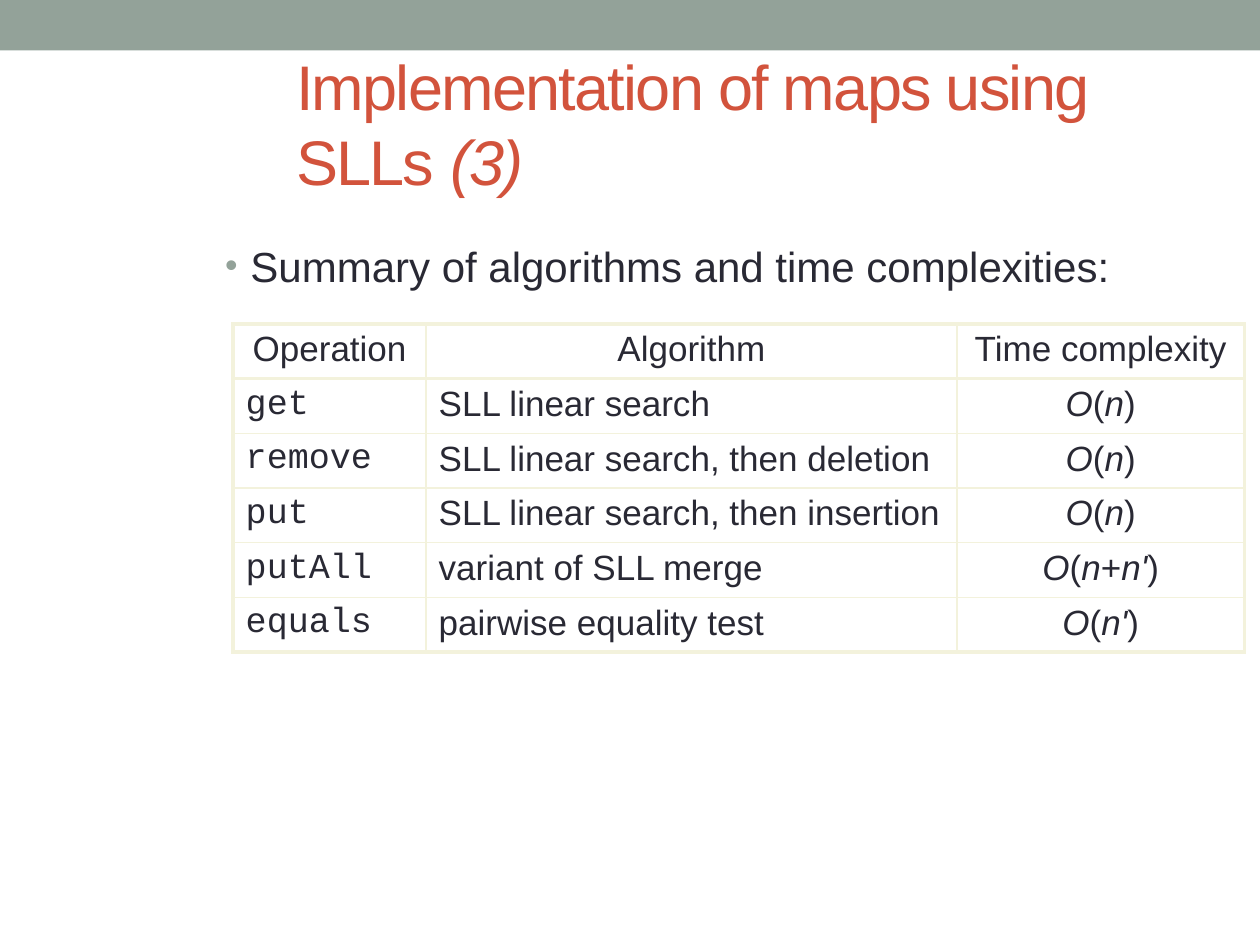
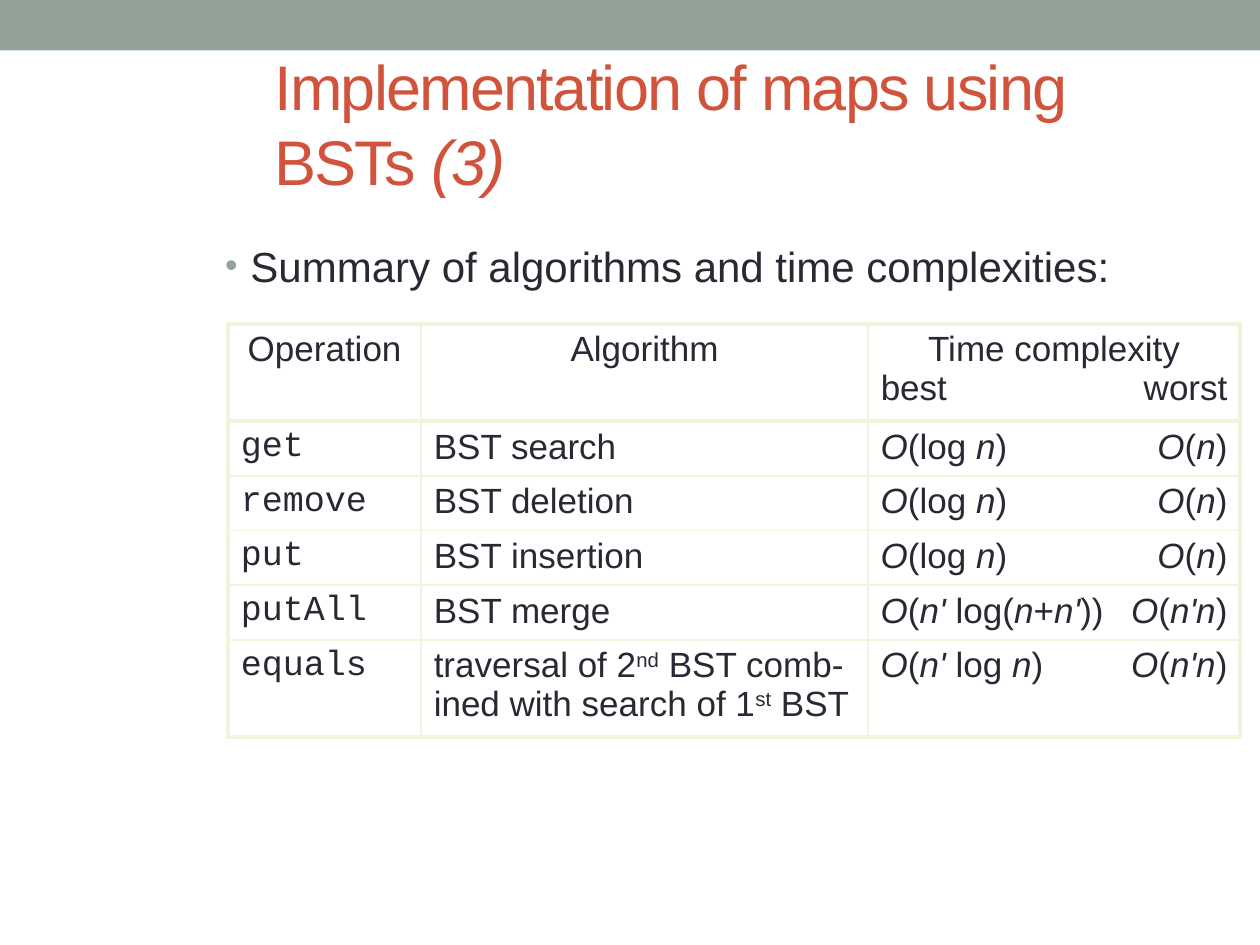
from lxml import etree
from pptx import Presentation
from pptx.dml.color import RGBColor
from pptx.enum.shapes import MSO_SHAPE
from pptx.enum.text import MSO_ANCHOR, PP_ALIGN
from pptx.oxml.ns import qn
from pptx.util import Cm, Pt

SAGE = RGBColor(0x93, 0xA2, 0x99)
RUST = RGBColor(0xD2, 0x53, 0x3C)
INK = RGBColor(0x29, 0x29, 0x34)
CREAM = RGBColor(0xF3, 0xF2, 0xDC)
WHITE = RGBColor(0xFF, 0xFF, 0xFF)

TITLE = {"size": Pt(36), "name": "Arial", "color": RUST}
BODY = {"size": Pt(24), "name": "Arial", "color": INK}
CELL = {"size": Pt(20), "name": "Arial", "color": INK}
CODE = {**CELL, "name": "Courier New"}

THIN, THICK = Pt(1), Pt(2.25)
LINE_H, TALL_H = 1.1, 1.96
SUMMARY = "Summary of algorithms and time complexities:"

SLL_ROWS = [
    ("Operation", "Algorithm", "Time complexity"),
    ("get", "SLL linear search", "*O*(*n*)"),
    ("remove", "SLL linear search, then deletion", "*O*(*n*)"),
    ("put", "SLL linear search, then insertion", "*O*(*n*)"),
    ("putAll", "variant of SLL merge", "*O*(*n*+*n'*)"),
    ("equals", "pairwise equality test", "*O*(*n'*)"),
]
BST_ROWS = [
    ("Operation", "Algorithm", "Time complexity\nbest\tworst"),
    ("get", "BST search", "*O*(log *n*)\t*O*(*n*)"),
    ("remove", "BST deletion", "*O*(log *n*)\t*O*(*n*)"),
    ("put", "BST insertion", "*O*(log *n*)\t*O*(*n*)"),
    ("putAll", "BST merge", "*O*(*n' *log(*n*+*n'*))\t*O*(*n'n*)"),
    ("equals", "traversal of 2^nd^ BST comb-ined with search of 1^st^ BST",
     "*O*(*n' *log *n*)\t*O*(*n'n*)"),
]


def add_run(p, text, fmt, italic=False):
    r = p.add_run()
    r.text = text
    for key, value in fmt.items():
        if key == "color":
            r.font.color.rgb = value
        else:
            setattr(r.font, key, value)
    r.font.italic = italic
    return r


def write(p, markup, fmt):
    """Add runs: *italic*, ^superscript^, newline for a line break."""
    for n, line in enumerate(markup.split("\n")):
        if n:
            p.add_line_break()
        for i, part in enumerate(line.split("*")):
            for j, text in enumerate(part.split("^")):
                if text:
                    r = add_run(p, text, fmt, italic=i % 2 == 1)
                    if j % 2:
                        r._r.get_or_add_rPr().set("baseline", "30000")


def add_text_box(s, left, top, width, height):
    tf = s.shapes.add_textbox(Cm(left), Cm(top), Cm(width), Cm(height)).text_frame
    tf.word_wrap = True
    return tf


def add_band(s):
    sp = s.shapes.add_shape(MSO_SHAPE.RECTANGLE, 0, 0, Cm(25.4), Cm(1.02))
    sp.shadow.inherit = False
    sp.fill.solid()
    sp.fill.fore_color.rgb = SAGE
    sp.line.fill.background()


def add_title(s, left, markup):
    tf = add_text_box(s, left, 1.47, 17.07, 2.01)
    tf.vertical_anchor = MSO_ANCHOR.MIDDLE
    p = tf.paragraphs[0]
    write(p, markup, TITLE)
    for r in p.runs:
        r._r.get_or_add_rPr().set("spc", "-100")


def add_bullet(s, text):
    p = add_text_box(s, 4.29, 4.72, 20.02, 12.83).paragraphs[0]
    p.space_before = Pt(4.8)
    pPr = p._p.get_or_add_pPr()
    pPr.set("marL", str(Cm(0.51)))
    pPr.set("indent", str(-Cm(0.51)))
    color = etree.SubElement(pPr, qn("a:buClr"))
    etree.SubElement(color, qn("a:srgbClr"), val=str(SAGE))
    etree.SubElement(pPr, qn("a:buSzPct"), val="85000")
    etree.SubElement(pPr, qn("a:buFont"), typeface="Arial")
    etree.SubElement(pPr, qn("a:buChar"), char="•")
    write(p, text, BODY)


def add_right_tab(p, pos):
    tabs = etree.SubElement(p._p.get_or_add_pPr(), qn("a:tabLst"))
    etree.SubElement(tabs, qn("a:tab"), pos=str(pos), algn="r")


def set_borders(cell, widths):
    """Draw borders in the order left, right, top, bottom."""
    tcPr = cell._tc.get_or_add_tcPr()
    for n, (side, width) in enumerate(zip("LRTB", widths)):
        ln = etree.Element(qn(f"a:ln{side}"), w=str(width))
        fill = etree.SubElement(ln, qn("a:solidFill"))
        etree.SubElement(fill, qn("a:srgbClr"), val=str(CREAM))
        tcPr.insert(n, ln)


def add_summary_table(s, left, rows, col_widths, row_heights, center_costs):
    last_row, last_col = len(rows) - 1, len(col_widths) - 1
    table = s.shapes.add_table(
        len(rows), len(col_widths), Cm(left), Cm(6.53),
        Cm(sum(col_widths)), Cm(sum(row_heights))).table
    table.first_row = table.horz_banding = False
    for col, width in zip(table.columns, col_widths):
        col.width = Cm(width)
    for row, height in zip(table.rows, row_heights):
        row.height = Cm(height)
    for i, texts in enumerate(rows):
        for j, text in enumerate(texts):
            cell = table.cell(i, j)
            cell.fill.solid()
            cell.fill.fore_color.rgb = WHITE
            heavy = (j == 0, j == last_col, i <= 1, i in (0, last_row))
            set_borders(cell, [THICK if h else THIN for h in heavy])
            p = cell.text_frame.paragraphs[0]
            if i == 0 or (center_costs and j == last_col):
                p.alignment = PP_ALIGN.CENTER
            if "\t" in text:
                add_right_tab(p, Cm(6.99))
            write(p, text, CODE if i and j == 0 else CELL)


def add_summary_slide(prs, title, title_left, **table):
    s = prs.slides.add_slide(prs.slide_layouts[6])
    add_band(s)
    add_title(s, title_left, title)
    add_bullet(s, SUMMARY)
    add_summary_table(s, **table)


def main():
    prs = Presentation()
    prs.slide_width, prs.slide_height = Cm(25.4), Cm(19.05)
    add_summary_slide(
        prs, "Implementation of maps using SLLs *(3)*", 5.72,
        left=4.7, rows=SLL_ROWS, col_widths=[3.89, 10.7, 5.8],
        row_heights=[LINE_H] * 6, center_costs=True)
    add_summary_slide(
        prs, "Implementation of maps using BSTs *(3)*", 5.28,
        left=4.6, rows=BST_ROWS, col_widths=[3.89, 9.01, 7.5],
        row_heights=[TALL_H] + [LINE_H] * 4 + [TALL_H], center_costs=False)
    prs.save("out.pptx")


if __name__ == "__main__":
    main()
